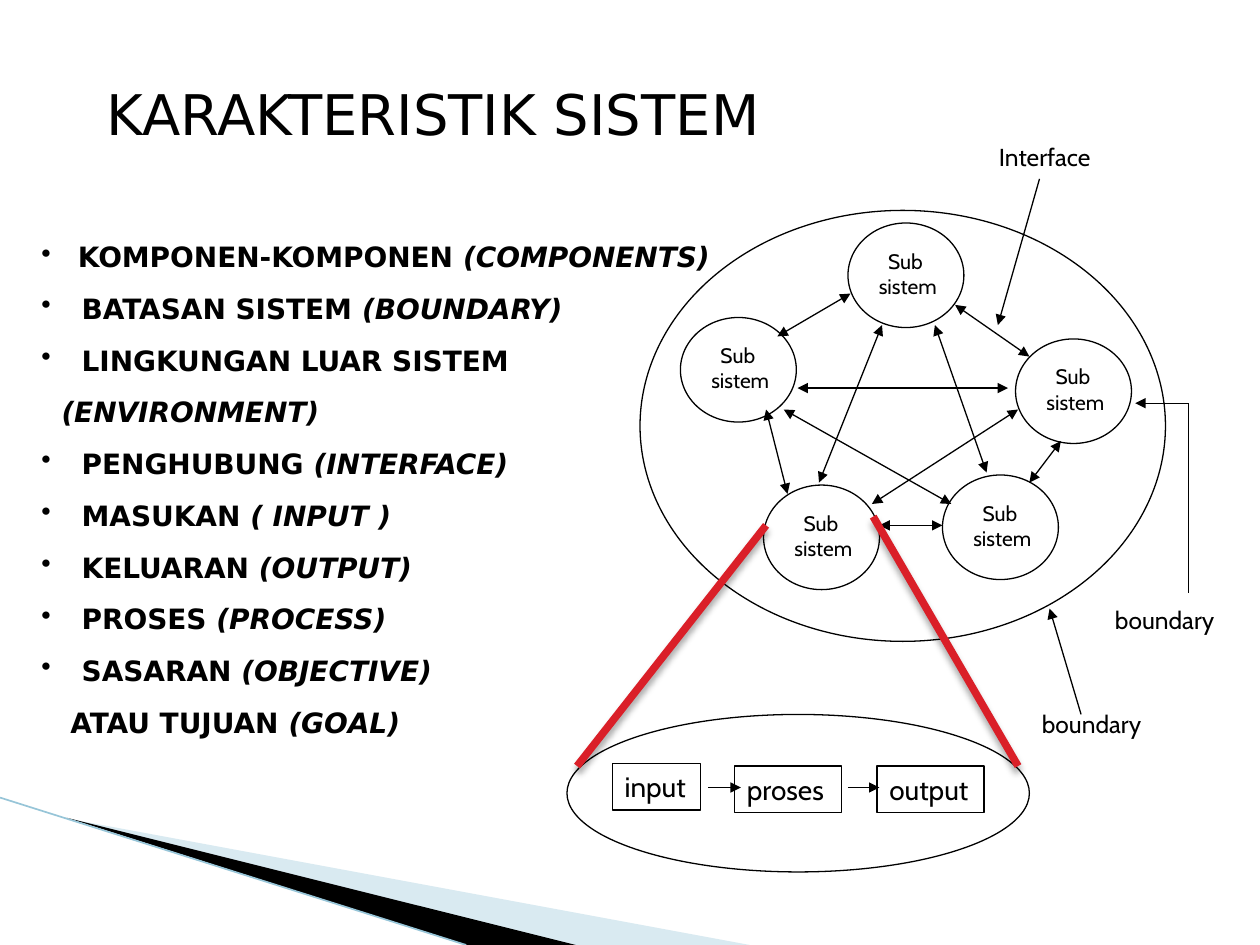
"""Build the slide on the characteristics of a system."""
from lxml.etree import SubElement
from pptx import Presentation
from pptx.dml.color import RGBColor
from pptx.enum.shapes import MSO_CONNECTOR, MSO_SHAPE
from pptx.enum.text import MSO_ANCHOR, MSO_AUTO_SIZE, PP_ALIGN
from pptx.oxml.ns import qn
from pptx.util import Cm, Pt

INK = {"black": "000000", "red": "DA1F28", "pale": "A0CBDC", "edge": "97C5D8"}
TITLE = "KARAKTERISTIK SISTEM"
TRAITS = [
    ("KOMPONEN-KOMPONEN ", "(COMPONENTS)", 0.29, True),
    ("BATASAN SISTEM ", "(BOUNDARY)", 0.32, True),
    ("LINGKUNGAN LUAR SISTEM", "", 0.32, True),
    ("", "(ENVIRONMENT)", 0.16, False),
    ("PENGHUBUNG ", "(INTERFACE)", 0.32, True),
    ("MASUKAN ", "( INPUT )", 0.32, True),
    ("KELUARAN ", "(OUTPUT)", 0.32, True),
    ("PROSES ", "(PROCESS)", 0.32, True),
    ("SASARAN ", "(OBJECTIVE)", 0.32, True),
    ("ATAU TUJUAN ", "(GOAL)", 0.23, False),
]
NODES = [(6.73, 1.77), (5.4, 2.52), (8.06, 2.69), (7.48, 3.77), (6.06, 3.85)]
RINGS = [(5.08, 1.67, 4.17, 3.42), (4.5, 5.67, 3.67, 1.25)]
STEPS = [("input", 4.86, 6.06, 0.7), ("proses", 5.83, 6.08, 0.85),
         ("output", 6.96, 6.08, 0.85)]
NOTES = [("Interface", 7.83, 1.08, 0.98), ("boundary", 8.17, 5.58, 1.02),
         ("boundary", 8.75, 4.75, 1.02)]
LINKS = [
    (6.17, 2.67, 6.75, 2.33), (6.33, 3.08, 8, 3.08), (6.98, 4.17, 7.48, 4.17),
    (6.92, 4, 8.08, 3.25), (6.22, 3.25, 7.55, 4), (6.08, 3.25, 6.25, 3.92),
    (6.5, 3.83, 7, 2.58), (8.17, 2.83, 7.58, 2.42), (8.17, 3.83, 8.42, 3.5),
    (7.83, 3.75, 7.42, 2.58),
]
ARROWS = [(5.62, 6.25, 5.88, 6.25), (6.73, 6.25, 6.98, 6.25),
          (8.25, 1.42, 7.92, 2.58), (8.58, 5.67, 8.33, 4.83),
          (9.43, 3.2, 9.01, 3.2)]
STEM = (9.43, 3.2, 9.43, 4.71)
BEAMS = [(6.08, 4.17, 4.58, 6.08), (6.93, 4.1, 8.08, 6.08)]
WEDGES = [("pale", 40, [(0.55, 6.5), (5.95, 7.5), (4.56, 7.5)]),
          ("black", 100, [(0.53, 6.49), (4.57, 7.5), (3.7, 7.5)])]
RIM = (0, 6.33, 3.7, 7.5)


def size(*vals):
    return [Cm(2.54 * val) for val in vals]


def tint(name):
    return RGBColor.from_string(INK[name])


def node(root, tag, **keys):
    return SubElement(root, qn(tag), keys)


def apply(item, **vals):
    for key, val in vals.items():
        setattr(item, key, val)


def write(para, text, pts, font="Cabin", **style):
    run = para.add_run()
    run.text = text
    apply(run.font, size=Pt(pts), name=font, **style)
    run.font.color.rgb = tint("black")


def frame(shape, wrap=True):
    apply(shape.text_frame, word_wrap=wrap, vertical_anchor=MSO_ANCHOR.TOP,
          auto_size=MSO_AUTO_SIZE.SHAPE_TO_FIT_TEXT)
    return shape.text_frame


def box(*place, wrap=True):
    return frame(slide.shapes.add_textbox(*size(*place)), wrap)


def outline(kind, *place):
    shape = slide.shapes.add_shape(kind, *size(*place))
    shape.shadow.inherit = False
    shape.fill.background()
    shape.line.color.rgb = tint("black")
    shape.line.width = Pt(0.75)
    return shape


def join(ends, ink="black", pts=0.75, heads=(), glow=False):
    line = slide.shapes.add_connector(MSO_CONNECTOR.STRAIGHT, *size(*ends))
    line.line.color.rgb = tint(ink)
    line.line.width = Pt(pts)
    for head in heads:
        node(line.line._get_or_add_ln(), head, type="triangle")
    fx = node(line._element.spPr, "a:effectLst")
    if glow:
        cast = node(fx, "a:outerShdw", blurRad=str(Pt(4)), dist=str(Pt(3)),
                    dir="5400000", rotWithShape="0")
        node(node(cast, "a:srgbClr", val=INK["black"]), "a:alpha", val="35000")


def wedge(ink, alpha, points):
    first, *rest = [size(*point) for point in points]
    build = slide.shapes.build_freeform(*first)
    build.add_line_segments(rest)
    shape = build.convert_to_shape()
    shape.shadow.inherit = False
    shape.line.fill.background()
    shape.fill.solid()
    shape.fill.fore_color.rgb = tint(ink)
    if alpha < 100:
        clr = shape._element.spPr.find(qn("a:solidFill"))[0]
        node(clr, "a:alpha", val=str(alpha * 1000))


def traits():
    body = box(0.23, 1.72, 5.75, 4.14)
    for num, (term, gloss, left, dot) in enumerate(TRAITS):
        para = body.add_paragraph() if num else body.paragraphs[0]
        apply(para, line_spacing=1.5, space_after=Pt(0.8))
        prop = para._p.get_or_add_pPr()
        edge = size(left)[0]
        prop.set("marL", str(edge))
        prop.set("indent", str(-edge if dot else 0))
        if dot:
            node(node(prop, "a:buClr"), "a:srgbClr", val=INK["black"])
            node(prop, "a:buChar", char="•")
        else:
            node(prop, "a:buNone")
        for text, slant in ((term, False), (gloss, True)):
            if text:
                write(para, text, 16, "DejaVu Sans", bold=True, italic=slant)


def nodes():
    for left, top in NODES:
        outline(MSO_SHAPE.OVAL, left, top, 0.92, 0.83)
        body = box(left + 0.1, top + 0.15, 0.75, 0.5)
        for para, text in ((body.paragraphs[0], "Sub "),
                           (body.add_paragraph(), "sistem")):
            para.alignment = PP_ALIGN.CENTER
            write(para, text, 12)


deck = Presentation()
deck.slide_width, deck.slide_height = size(10, 7.5)
slide = deck.slides.add_slide(deck.slide_layouts[6])

for item in WEDGES:
    wedge(*item)
join(RIM, "edge", 0.95)
write(box(0.75, 0.58, 7.83, 0.64).paragraphs[0], TITLE, 32, "DejaVu Sans")
traits()
nodes()
for ring in RINGS:
    outline(MSO_SHAPE.OVAL, *ring)
for link in LINKS:
    join(link, heads=("a:headEnd", "a:tailEnd"))
for text, left, top, wide in STEPS:
    body = frame(outline(MSO_SHAPE.RECTANGLE, left, top, wide, 0.37), False)
    body.paragraphs[0].alignment = PP_ALIGN.LEFT
    write(body.paragraphs[0], text, 16)
for arrow in ARROWS:
    join(arrow, heads=("a:tailEnd",))
join(STEM)
for text, left, top, wide in NOTES:
    write(box(left, top, wide, 0.34, wrap=False).paragraphs[0], text, 14)
for beam in BEAMS:
    join(beam, "red", 4.33, glow=True)

deck.save("out.pptx")
